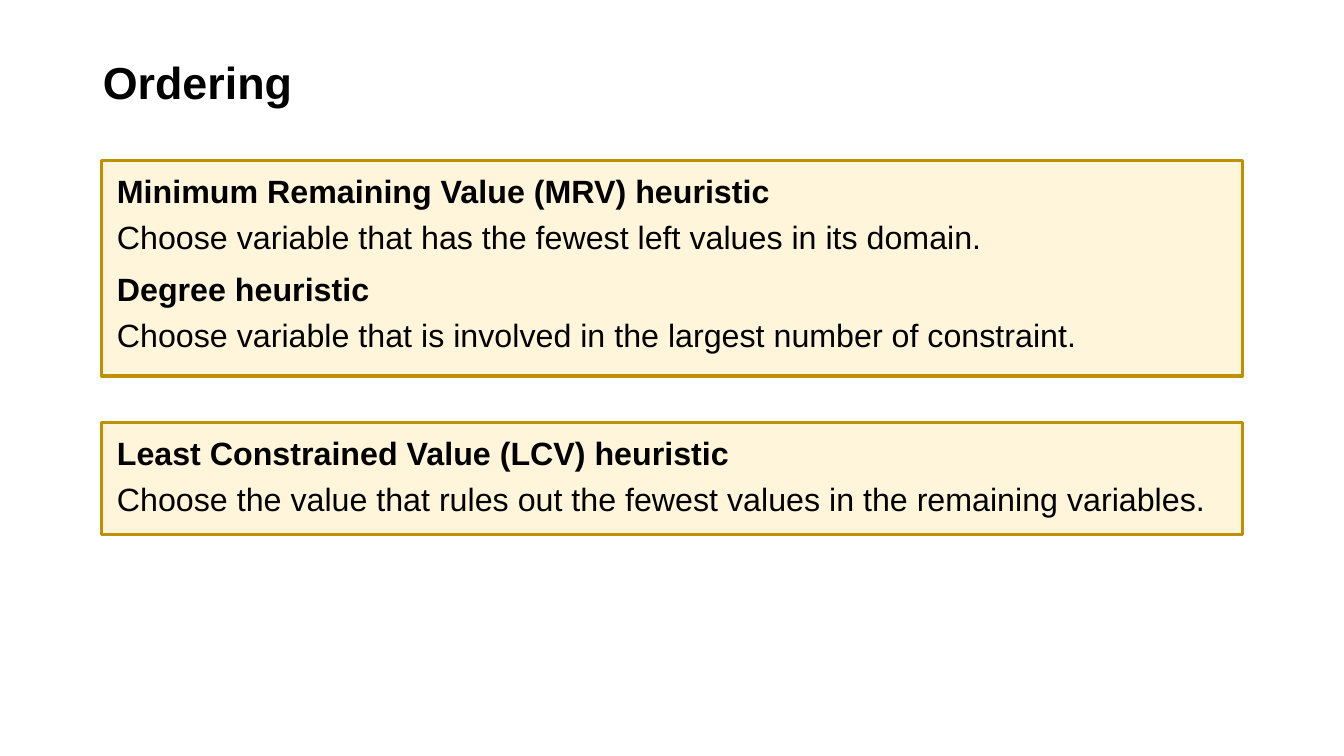
from dataclasses import dataclass

from lxml import etree
from pptx import Presentation
from pptx import util as u
from pptx.dml.color import RGBColor
from pptx.enum import shapes, text
from pptx.oxml.ns import qn


@dataclass(frozen=True)
class Theme:
    font: str = "Arial"
    ink: RGBColor = RGBColor(0x00, 0x00, 0x00)
    panel: RGBColor = RGBColor(0xFF, 0xF2, 0xCC)
    border: RGBColor = RGBColor(0xBF, 0x90, 0x00)
    panel_opacity: int = 70
    border_width: float = 2.25
    title_size: int = 32
    body_size: int = 23


THEME = Theme()
WIDTH, HEIGHT = u.Inches(13.33), u.Inches(7.5)
COLUMN, ROW = WIDTH / 100, HEIGHT / 100
INSET_X, INSET_Y = 0.38, 0.8
LINE_PITCH, PAIR_PITCH, LINE_HEIGHT = 6.13, 12.93, 6.53

VARIABLE_HEURISTICS = [
    ("Minimum Remaining Value (MRV) heuristic",
     "Choose variable that has the fewest left values in its domain."),
    ("Degree heuristic",
     "Choose variable that is involved in the largest number of constraint."),
]
VALUE_HEURISTICS = [
    ("Least Constrained Value (LCV) heuristic",
     "Choose the value that rules out the fewest values in the remaining variables."),
]


def place(box):
    left, top, width, height = box
    return [round(n) for n in (left * COLUMN, top * ROW, width * COLUMN, height * ROW)]


def write(paragraph, words, size, bold):
    run = paragraph.add_run()
    run.text = words
    run.font.name = THEME.font
    run.font.size = u.Pt(size)
    run.font.bold = bold
    run.font.color.rgb = THEME.ink


def add_heading(slide, words, box):
    heading = slide.shapes.title
    heading.left, heading.top, heading.width, heading.height = place(box)
    frame = heading.text_frame
    frame.vertical_anchor = text.MSO_ANCHOR.MIDDLE
    paragraph = frame.paragraphs[0]
    paragraph.alignment = text.PP_ALIGN.LEFT
    paragraph.line_spacing = 0.9
    write(paragraph, words, THEME.title_size, True)


def add_line(slide, words, box, bold):
    frame = slide.shapes.add_textbox(*place(box)).text_frame
    frame.word_wrap = True
    frame.auto_size = text.MSO_AUTO_SIZE.SHAPE_TO_FIT_TEXT
    write(frame.paragraphs[0], words, THEME.body_size, bold)


def add_heuristics(slide, heuristics, box):
    left, top, width, height = box
    panel = slide.shapes.add_shape(shapes.MSO_SHAPE.RECTANGLE, *place(box))
    panel.shadow.inherit = False
    panel.fill.solid()
    panel.fill.fore_color.rgb = THEME.panel
    tint = panel._element.spPr.find(qn("a:solidFill"))[0]
    etree.SubElement(tint, qn("a:alpha"), val=str(THEME.panel_opacity * 1000))
    panel.line.color.rgb = THEME.border
    panel.line.width = u.Pt(THEME.border_width)
    for pair, (name, rule) in enumerate(heuristics):
        name_top = top + INSET_Y + pair * PAIR_PITCH
        for words, line_top, bold in ((name, name_top, True),
                                      (rule, name_top + LINE_PITCH, False)):
            line = (left + INSET_X, line_top, width - 2 * INSET_X, LINE_HEIGHT)
            add_line(slide, words, line, bold)


def main():
    deck = Presentation()
    deck.slide_width, deck.slide_height = WIDTH, HEIGHT
    slide = deck.slides.add_slide(deck.slide_layouts[5])
    add_heading(slide, "Ordering", (6.9, 5.33, 86.27, 11.87))
    add_heuristics(slide, VARIABLE_HEURISTICS, (7.58, 21.2, 84.85, 28.53))
    add_heuristics(slide, VALUE_HEURISTICS, (7.58, 55.87, 84.85, 14.8))
    deck.save("out.pptx")


if __name__ == "__main__":
    main()
